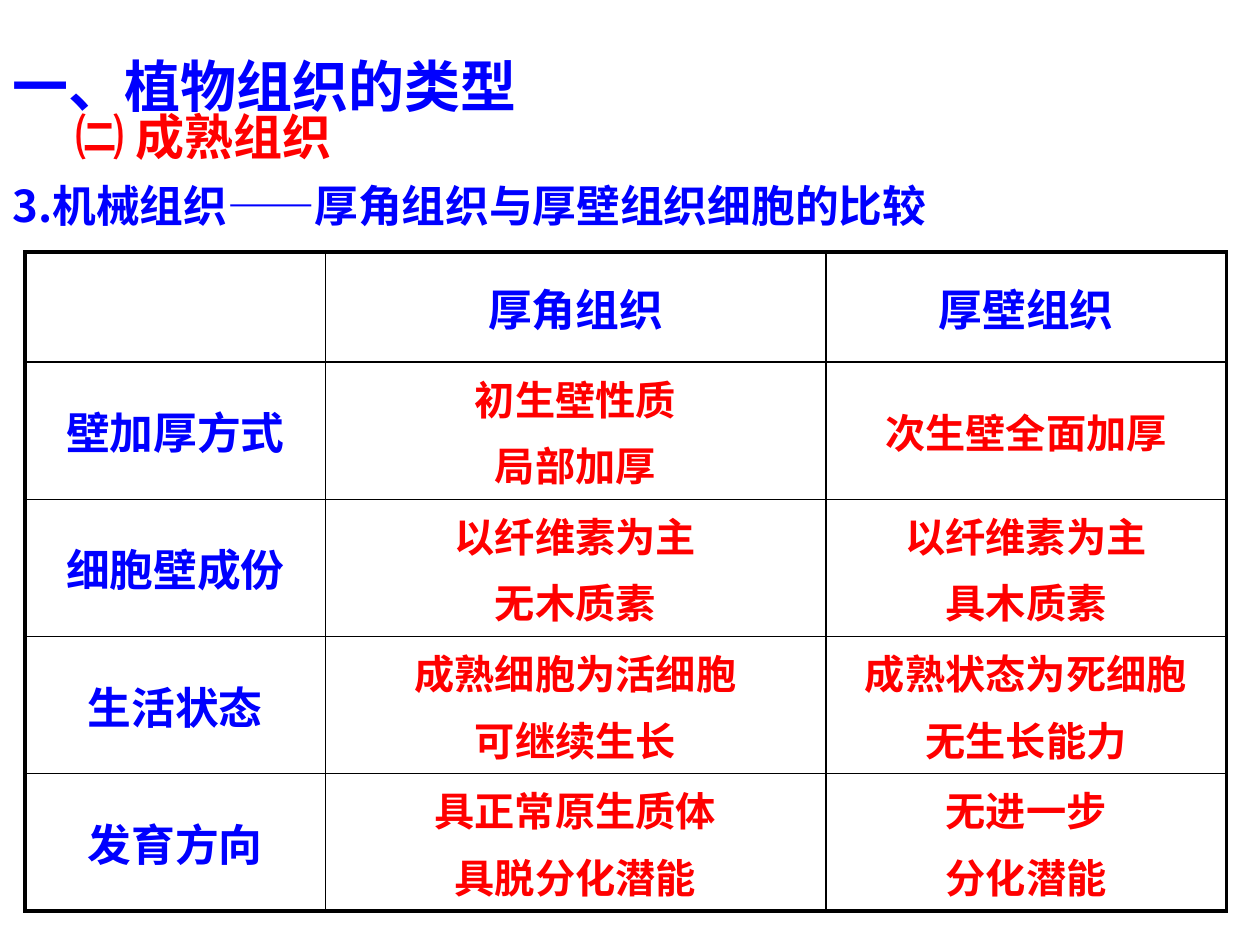
from dataclasses import dataclass

from lxml import etree
from pptx import Presentation
from pptx import util as u
from pptx.dml import color
from pptx.enum import text
from pptx.oxml import ns


@dataclass(frozen=True)
class Theme:
    font: str = "Noto Sans CJK SC"
    blue: str = "0000FF"
    red: str = "FF0000"
    border: str = "000000"
    title_size: float = 32
    subtitle_size: float = 28
    heading_size: float = 25
    detail_size: float = 23
    outer_line: float = 2.25
    inner_line: float = 1


THEME = Theme()

COLUMN_WIDTHS = (171.5, 286, 229)
ROW_HEIGHTS = (63, 78.4, 78.4, 78.4, 78.4)
COMPARISON = (
    ("", "厚角组织", "厚壁组织"),
    ("壁加厚方式", "初生壁性质\n局部加厚", "次生壁全面加厚"),
    ("细胞壁成份", "以纤维素为主\n无木质素", "以纤维素为主\n具木质素"),
    ("生活状态", "成熟细胞为活细胞\n可继续生长", "成熟状态为死细胞\n无生长能力"),
    ("发育方向", "具正常原生质体\n具脱分化潜能", "无进一步\n分化潜能"),
)


def style_span(span, size, rgb):
    span.font.size = u.Pt(size)
    span.font.bold = True
    span.font.name = THEME.font
    span.font.color.rgb = color.RGBColor.from_string(rgb)
    east_asian = etree.SubElement(span.font._element, ns.qn("a:ea"))
    east_asian.set("typeface", THEME.font)


def add_heading(page, words, top, height, anchor, spacing, styles):
    """Add a full-width paragraph; each line takes its own size and colour."""
    box = page.shapes.add_textbox(u.Pt(0), u.Pt(top), u.Pt(720), u.Pt(height))
    frame = box.text_frame
    frame.word_wrap = True
    frame.vertical_anchor = anchor
    para = frame.paragraphs[0]
    para.text = words
    para.line_spacing = spacing
    for span, (size, rgb) in zip(para.runs, styles):
        style_span(span, size, rgb)
    return frame


def set_borders(cell, widths):
    """Draw the left, right, top and bottom borders of a cell."""
    properties = cell._tc.get_or_add_tcPr()
    for index, (side, width) in enumerate(zip("LRTB", widths)):
        line = etree.Element(ns.qn(f"a:ln{side}"), w=str(u.Pt(width)))
        fill = etree.SubElement(line, ns.qn("a:solidFill"))
        etree.SubElement(fill, ns.qn("a:srgbClr"), val=THEME.border)
        properties.insert(index, line)


def fill_cell(cell, words, size, rgb):
    cell.fill.background()
    cell.vertical_anchor = text.MSO_ANCHOR.MIDDLE
    cell.text_frame.text = words
    for index, para in enumerate(cell.text_frame.paragraphs):
        para.alignment = text.PP_ALIGN.CENTER
        if index:
            para.space_before = u.Pt(size * 0.2)
        for span in para.runs:
            style_span(span, size, rgb)


def add_comparison(page):
    rows, columns = len(ROW_HEIGHTS), len(COLUMN_WIDTHS)
    table = page.shapes.add_table(
        rows, columns, u.Pt(14.4), u.Pt(144),
        u.Pt(sum(COLUMN_WIDTHS)), u.Pt(sum(ROW_HEIGHTS)),
    ).table
    table.first_row = table.horz_banding = False
    for column, width in zip(table.columns, COLUMN_WIDTHS):
        column.width = u.Pt(width)
    for row, height in zip(table.rows, ROW_HEIGHTS):
        row.height = u.Pt(height)

    for r, entries in enumerate(COMPARISON):
        for c, words in enumerate(entries):
            cell = table.cell(r, c)
            if r == 0 or c == 0:
                fill_cell(cell, words, THEME.heading_size, THEME.blue)
            else:
                fill_cell(cell, words, THEME.detail_size, THEME.red)
            on_edge = (c == 0, c == columns - 1, r == 0, r == rows - 1)
            set_borders(cell, [THEME.outer_line if edge else THEME.inner_line
                               for edge in on_edge])


def main():
    deck = Presentation()
    deck.slide_width, deck.slide_height = u.Pt(720), u.Pt(540)
    page = deck.slides.add_slide(deck.slide_layouts[6])

    # Section heading
    add_heading(page, "3.机械组织——厚角组织与厚壁组织细胞的比较", 102.2, 40,
                text.MSO_ANCHOR.TOP, 0.9, [(THEME.heading_size, THEME.blue)])

    # Comparison table
    add_comparison(page)

    # Title with its subtitle line
    title = add_heading(page, "一、植物组织的类型\v\t㈡ 成熟组织", 5.8, 90,
                        text.MSO_ANCHOR.BOTTOM, 0.8,
                        [(THEME.title_size, THEME.blue),
                         (THEME.subtitle_size, THEME.red)])
    title.margin_bottom = u.Pt(1.3)

    deck.save("out.pptx")


if __name__ == "__main__":
    main()
